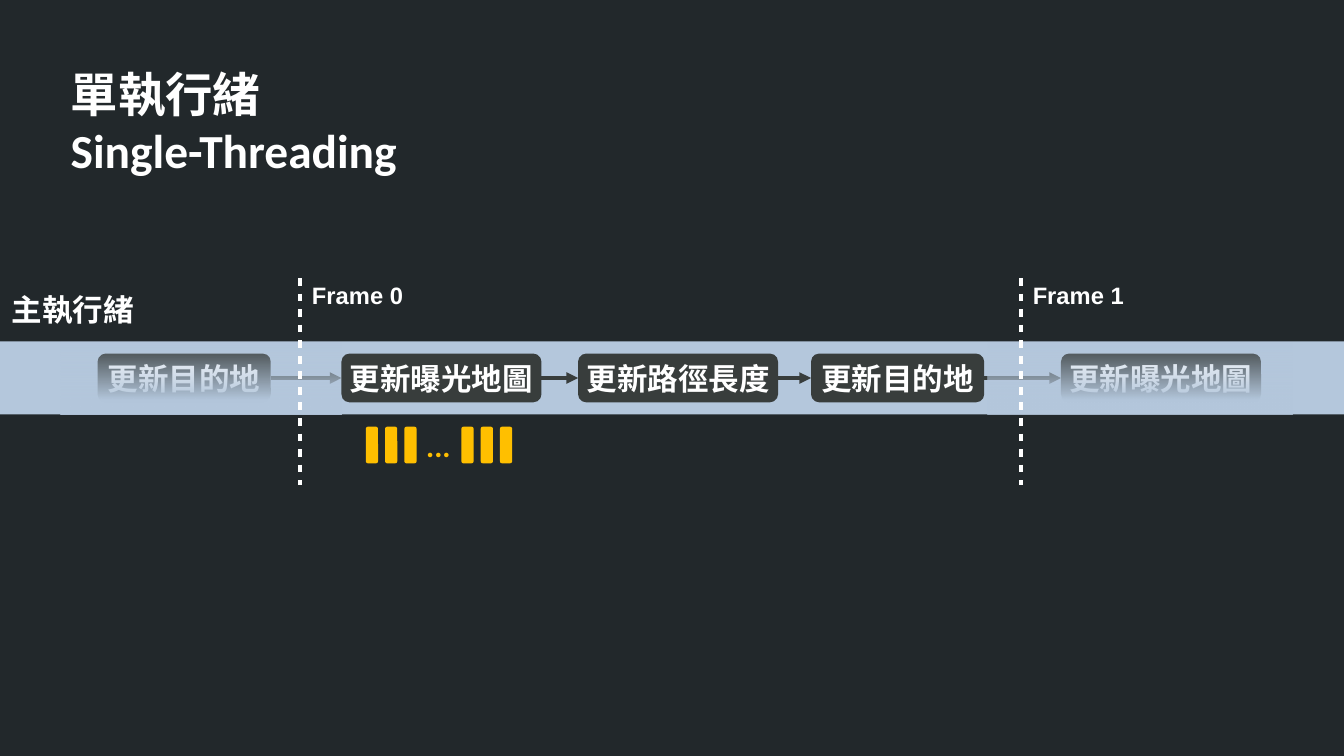
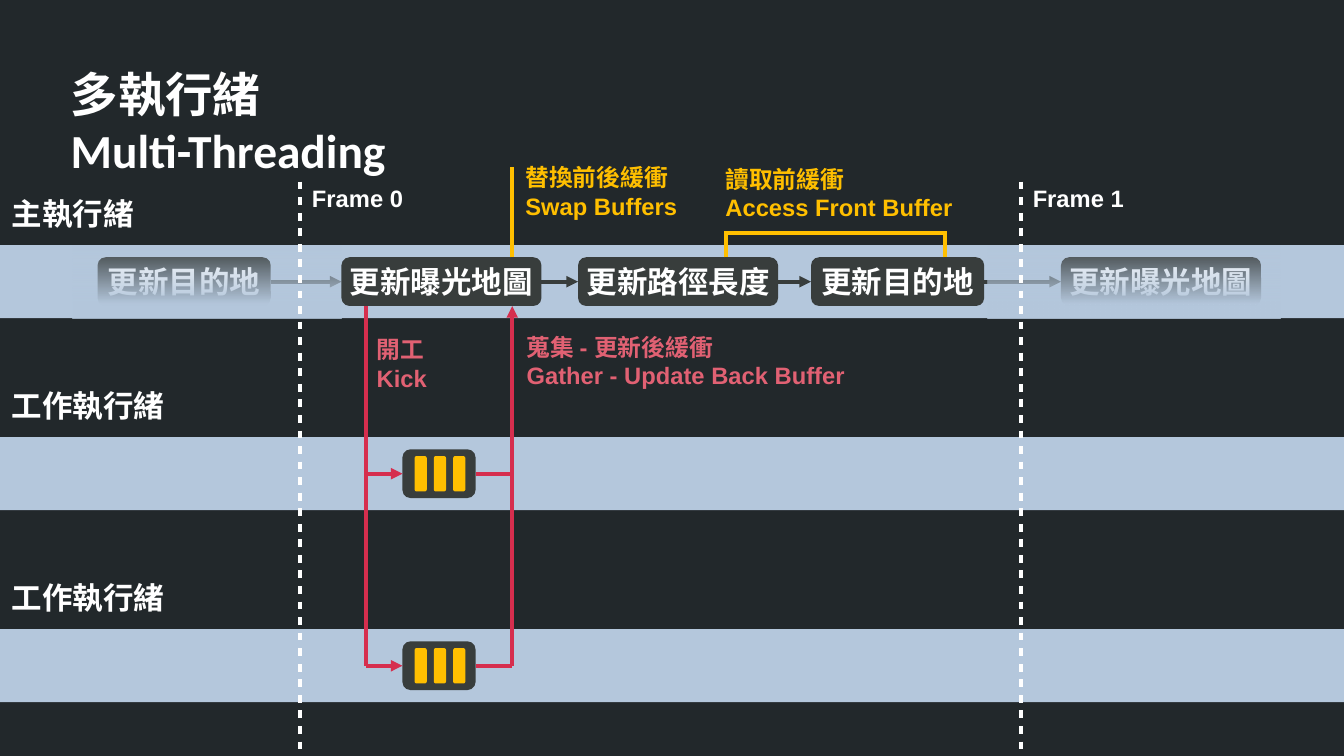
from dataclasses import dataclass
from itertools import pairwise

from lxml.etree import SubElement
from pptx import Presentation
from pptx.dml.color import RGBColor
from pptx.enum.shapes import MSO_CONNECTOR, MSO_SHAPE
from pptx.enum.text import MSO_ANCHOR, MSO_AUTO_SIZE, PP_ALIGN
from pptx.oxml.ns import qn
from pptx.util import Inches, Pt


@dataclass(frozen=True)
class Theme:
    """Colours, fonts and type sizes of the whole deck."""
    ground: str = "22282B"
    lane: str = "B4C7DC"
    node: str = "383D3C"
    white: str = "FFFFFF"
    yellow: str = "FFBF00"
    red: str = "D62E4E"
    pink: str = "E16173"
    heading_font: str = "Calibri"
    label_font: str = "Arial"
    title_size: int = 28
    node_size: int = 18
    note_size: int = 14
    line_width: float = 2.3


@dataclass(frozen=True)
class Box:
    """A region measured in grid cells."""
    left: float
    top: float
    width: float
    height: float

    @property
    def middle(self):
        return self.top + self.height / 2

    @property
    def right(self):
        return self.left + self.width

    @property
    def bottom(self):
        return self.top + self.height

    def inside(self, left, top, width, height):
        """Return a box offset from this box's top left corner."""
        return Box(self.left + left, self.top + top, width, height)


THEME = Theme()
COLUMNS, ROWS = 110.2, 62
LANE_HEIGHT, LANE_PITCH = 6, 15.75
NODE_INSET, NODE_HEIGHT = 1, 4
BAR_WIDTH, BAR_PITCH = 1, 1.58
FRAME_COLUMNS = (24.6, 83.7)
KICK_COLUMN, GATHER_COLUMN = 30, 42
EXPOSURE, PATHS, TARGET = "更新曝光地圖", "更新路徑長度", "更新目的地"
CURRENT_STEPS = ((EXPOSURE, 28, 16.4), (PATHS, 47.4, 16.4), (TARGET, 66.5, 14.2))
PREVIOUS_STEP, NEXT_STEP = (TARGET, 8, 14.2), (EXPOSURE, 87, 16.4)


def cells(count):
    """Convert grid cells, a tenth of an inch each, to a length."""
    return Inches(count / 10)


def extent(box):
    """Return the box as the four lengths a shape takes."""
    return [cells(side) for side in (box.left, box.top, box.width, box.height)]


def color(code):
    """Return a theme colour code as an RGB colour."""
    return RGBColor.from_string(code)


def write(frame, text, size, font, code, align=PP_ALIGN.LEFT, anchor=MSO_ANCHOR.TOP):
    """Fill a text frame with bold paragraphs, one for each line."""
    frame.text = text
    frame.vertical_anchor = anchor
    for paragraph in frame.paragraphs:
        paragraph.alignment = align
        paragraph.font.size = Pt(size)
        paragraph.font.name = font
        paragraph.font.bold = True
        paragraph.font.color.rgb = color(code)


def add_block(slide, box, code, preset=MSO_SHAPE.ROUNDED_RECTANGLE):
    """Add a flat shape without outline."""
    shape = slide.shapes.add_shape(preset, *extent(box))
    shape.shadow.inherit = False
    shape.fill.solid()
    shape.fill.fore_color.rgb = color(code)
    shape.line.fill.background()
    return shape


def add_label(slide, box, text, size=THEME.note_size, code=THEME.white):
    """Add a wrapped label in the label font."""
    frame = slide.shapes.add_textbox(*extent(box)).text_frame
    frame.word_wrap = True
    write(frame, text, size, THEME.label_font, code)


def add_line(slide, start, end, code, arrow=False, dashed=False):
    """Draw a straight line between two grid points."""
    points = [cells(value) for value in (*start, *end)]
    connector = slide.shapes.add_connector(MSO_CONNECTOR.STRAIGHT, *points)
    connector.line.color.rgb = color(code)
    connector.line.width = Pt(THEME.line_width)
    properties = connector.element.spPr
    outline = properties.find(qn("a:ln"))
    if dashed:
        pattern = SubElement(outline, qn("a:custDash"))
        SubElement(pattern, qn("a:ds"), d="200000", sp="200000")
    if arrow:
        SubElement(outline, qn("a:tailEnd"), type="triangle")
    SubElement(properties, qn("a:effectLst"))


def add_fade(slide, box):
    """Veil a region with the lane colour, clearing towards the top."""
    shape = add_block(slide, box, THEME.lane, MSO_SHAPE.RECTANGLE)
    shape.fill.gradient()
    shape.fill.gradient_angle = 90
    for stop, position in zip(shape.fill.gradient_stops, (0.2, 1)):
        stop.color.rgb = color(THEME.lane)
        stop.position = position
    clear = list(shape.element.spPr.iter(qn("a:srgbClr")))[-1]
    SubElement(clear, qn("a:alpha"), val="0")


def add_bars(slide, box):
    """Place three job bars from the left edge of the box."""
    for index in range(3):
        bar = box.inside(index * BAR_PITCH, 0, BAR_WIDTH, box.height)
        add_block(slide, bar, THEME.yellow)


def add_ellipsis(slide, box):
    """Centre three dots in the gap between groups of job bars."""
    frame = slide.shapes.add_textbox(*extent(box)).text_frame
    frame.word_wrap = True
    frame.margin_left = frame.margin_right = 0
    write(frame, "...", THEME.node_size, THEME.heading_font, THEME.yellow,
          PP_ALIGN.CENTER, MSO_ANCHOR.MIDDLE)


def add_lane(slide, box, name):
    """Draw a thread's band with its name above."""
    add_block(slide, box, THEME.lane, MSO_SHAPE.RECTANGLE)
    add_label(slide, box.inside(0, -4.6, 16, 4.6), name, THEME.node_size)


def add_steps(slide, lane, steps):
    """Place step nodes on a lane."""
    for text, left, width in steps:
        box = lane.inside(left, NODE_INSET, width, NODE_HEIGHT)
        frame = add_block(slide, box, THEME.node).text_frame
        frame.word_wrap = False
        write(frame, text, THEME.node_size, THEME.heading_font, THEME.white,
              PP_ALIGN.CENTER, MSO_ANCHOR.MIDDLE)


def add_step_arrows(slide, lane, steps):
    """Join neighbouring steps with arrows."""
    for (_, left, width), (_, next_left, _) in pairwise(steps):
        add_line(slide, (left + width, lane.middle), (next_left, lane.middle),
                 THEME.node, arrow=True)


def add_main_lane(slide, lane, fade_margin):
    """Draw the main thread with faded steps of the frames around it."""
    add_lane(slide, lane, "主執行緒")
    add_steps(slide, lane, (PREVIOUS_STEP, NEXT_STEP))
    add_step_arrows(slide, lane, (PREVIOUS_STEP, *CURRENT_STEPS, NEXT_STEP))
    fade_end, fade_start = CURRENT_STEPS[0][1], 81
    add_fade(slide, lane.inside(fade_margin, 0, fade_end - fade_margin, lane.height))
    add_fade(slide, lane.inside(fade_start, 0, 30 - fade_margin, lane.height))
    add_steps(slide, lane, CURRENT_STEPS)


def add_frame_marks(slide, lane, bottom):
    """Mark where each frame begins, from above the lane to the bottom."""
    for number, column in enumerate(FRAME_COLUMNS):
        add_line(slide, (column, lane.top - 5.2), (column, bottom), THEME.white, dashed=True)
        add_label(slide, lane.inside(column, -5.5, 11, 3.2), f"Frame {number}")


def add_worker_lane(slide, lane):
    """Draw a worker thread with its job node and branch lines."""
    add_lane(slide, lane, "工作執行緒")
    node = lane.inside(33, NODE_INSET, 6, NODE_HEIGHT)
    add_block(slide, node, THEME.node)
    add_bars(slide, node.inside(1, 0.55, 4.16, 2.9))
    add_line(slide, (KICK_COLUMN, node.middle), (node.left, node.middle), THEME.red, arrow=True)
    add_line(slide, (node.right, node.middle), (GATHER_COLUMN, node.middle), THEME.red)


def add_job_flow(slide, lane, bottom):
    """Draw the kick and gather lines below the main lane."""
    node_bottom = lane.bottom - NODE_INSET
    add_line(slide, (KICK_COLUMN, node_bottom), (KICK_COLUMN, bottom), THEME.red)
    add_line(slide, (GATHER_COLUMN, bottom), (GATHER_COLUMN, node_bottom), THEME.red, arrow=True)
    add_label(slide, lane.inside(29.9, 6.9, 8, 6), "開工\nKick", code=THEME.pink)
    add_label(slide, lane.inside(42.2, 6.7, 30, 6),
              "蒐集 - 更新後緩衝\nGather - Update Back Buffer", code=THEME.pink)


def add_buffer_notes(slide, lane):
    """Annotate buffer use above the main lane."""
    node_top = lane.top + NODE_INSET
    add_line(slide, (GATHER_COLUMN, node_top), (GATHER_COLUMN, lane.top - 6.4), THEME.yellow)
    bracket_top, ends = lane.top - 1, (59.5, 77.5)
    for column in ends:
        add_line(slide, (column, node_top), (column, bracket_top - 0.16), THEME.yellow)
    add_line(slide, (ends[0], bracket_top), (ends[1], bracket_top), THEME.yellow)
    add_label(slide, lane.inside(42.1, -7.2, 16, 6), "替換前後緩衝\nSwap Buffers",
              code=THEME.yellow)
    add_label(slide, lane.inside(58.5, -7.1, 22, 6), "讀取前緩衝\nAccess Front Buffer",
              code=THEME.yellow)


def add_titled_slide(presentation, title):
    """Add a title-only slide with the shared title style."""
    slide = presentation.slides.add_slide(presentation.slide_layouts[5])
    shape = slide.shapes.title
    shape.left, shape.top, shape.width, shape.height = extent(Box(4.8, 4.8, 44, 10.5))
    shape.text_frame.auto_size = MSO_AUTO_SIZE.NONE
    write(shape.text_frame, title, THEME.title_size, THEME.heading_font, THEME.white)
    return slide


def build_single_threading(presentation):
    """Show all jobs running on the main thread."""
    slide = add_titled_slide(presentation, "單執行緒\nSingle-Threading")
    lane = Box(0, 28, COLUMNS, LANE_HEIGHT)
    add_main_lane(slide, lane, fade_margin=5)
    add_frame_marks(slide, lane, lane.bottom + 5.8)
    jobs = lane.inside(KICK_COLUMN, 7, 12, 3)
    for offset in (0, 7.84):
        add_bars(slide, jobs.inside(offset, 0, 4.16, jobs.height))
    add_ellipsis(slide, jobs.inside(4.3, 0, 3.3, jobs.height))


def build_multi_threading(presentation):
    """Show jobs handed to two worker threads and gathered again."""
    slide = add_titled_slide(presentation, "多執行緒\nMulti-Threading")
    main_lane, *workers = (Box(0, 20.1 + row * LANE_PITCH, COLUMNS, LANE_HEIGHT)
                           for row in range(3))
    add_main_lane(slide, main_lane, fade_margin=6)
    for worker in workers:
        add_worker_lane(slide, worker)
    add_job_flow(slide, main_lane, workers[-1].middle)
    add_frame_marks(slide, main_lane, ROWS)
    add_buffer_notes(slide, main_lane)


def main():
    """Build and save the deck."""
    presentation = Presentation()
    presentation.slide_width, presentation.slide_height = cells(COLUMNS), cells(ROWS)
    background = presentation.slide_master.background.fill
    background.solid()
    background.fore_color.rgb = color(THEME.ground)
    build_single_threading(presentation)
    build_multi_threading(presentation)
    presentation.save("out.pptx")


main()
